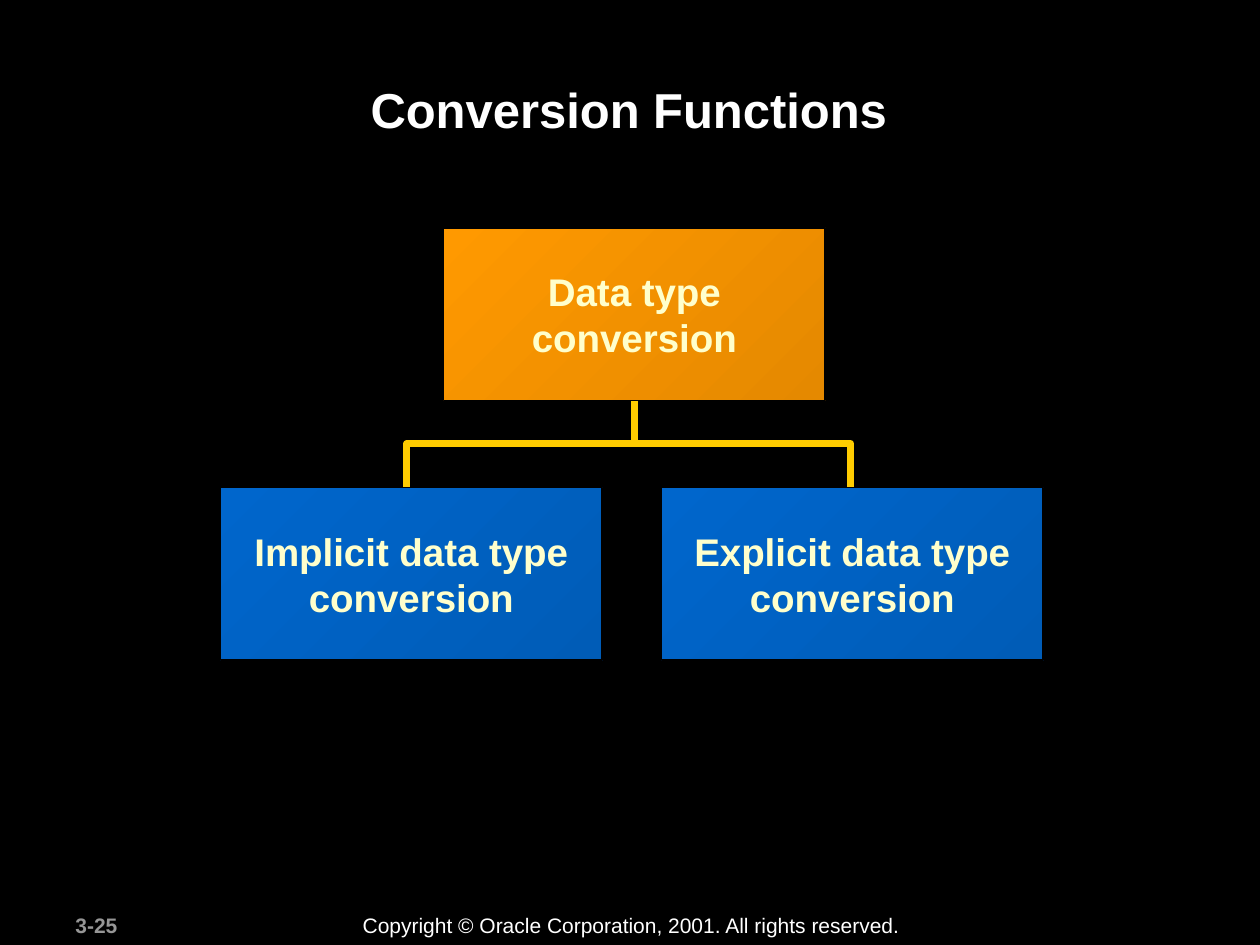
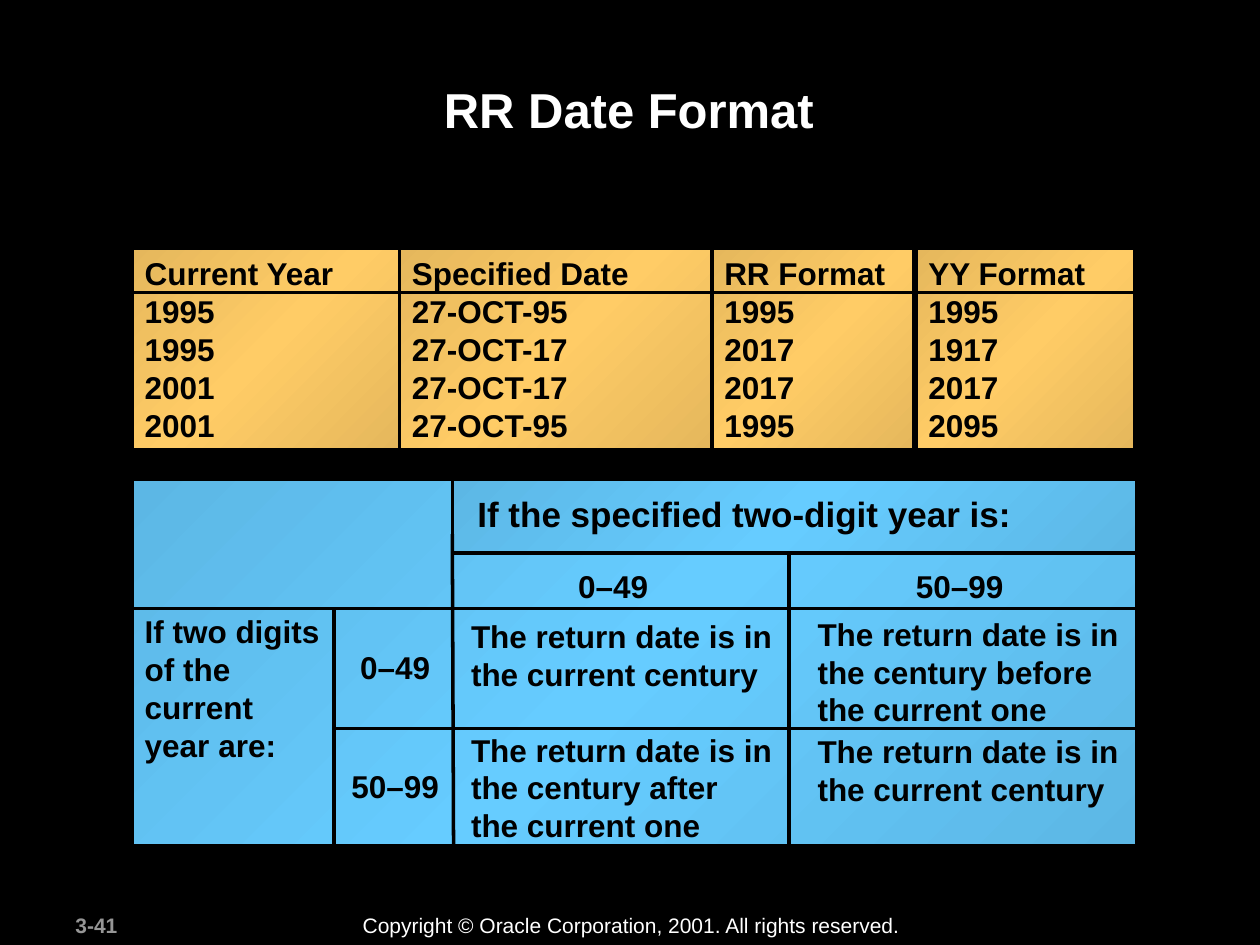
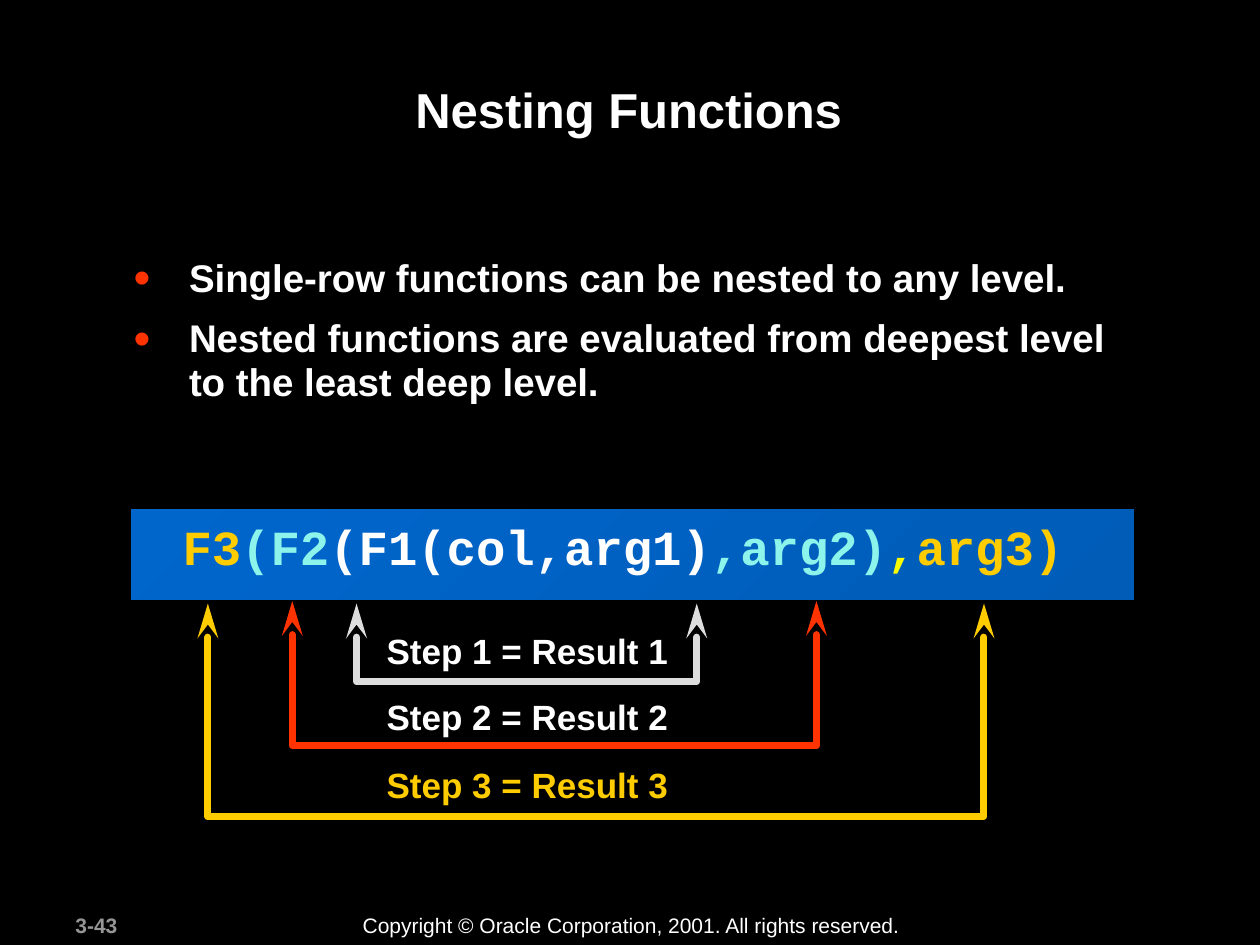
from copy import deepcopy
from dataclasses import dataclass

from lxml.etree import SubElement
from pptx import Presentation
from pptx.dml.color import RGBColor
from pptx.enum.shapes import MSO_CONNECTOR as Connector, MSO_SHAPE as Preset
from pptx.enum.text import MSO_ANCHOR as Anchor, MSO_AUTO_SIZE as AutoSize, PP_ALIGN as Align
from pptx.oxml.ns import qn
from pptx.util import Inches, Pt

COLORS = {
    "black": "000000", "white": "FFFFFF", "page": "969696", "cream": "FFFFCC",
    "gold": "FFCC00", "red": "FF3300", "silver": "DDDDDD", "aqua": "8CF4EA",
    "yellow": "FAFD00", "blue": "0066CC", "deep_blue": "005CB7",
    "orange": "FF9900", "deep_orange": "E58900", "sand": "FFCC66",
    "deep_sand": "E5B75C", "sky": "66CCFF", "deep_sky": "5CB7E5",
}
BLUE_FILL = ("blue", "deep_blue")
ORANGE_FILL = ("orange", "deep_orange")
SAND_FILL = ("deep_sand", "sand", "deep_sand")
SKY_FILL = ("deep_sky", "sky", "deep_sky")
COPYRIGHT = "Copyright © Oracle Corporation, 2001. All rights reserved."


@dataclass
class Box:
    left: float
    top: float
    width: float
    height: float

    def inside(self, left, top, width, height):
        return Box(self.left + left, self.top + top, width, height)

    def point(self, x, y):
        return Inches(self.left + x), Inches(self.top + y)

    def lengths(self):
        return [Inches(value) for value in (self.left, self.top, self.width, self.height)]


TITLE_BOX = Box(0.94, 0.58, 8.1, 0.96)
FOOTER_BOX = Box(0.5, 7.19, 6.76, 0.3)


def rgb(name):
    return RGBColor.from_string(COLORS[name])


def set_values(target, values):
    for name, value in values.items():
        setattr(target, name, value)


def format_run(run, size, color, bold=True, face="Arial"):
    set_values(run.font, {"size": Pt(size), "name": face, "bold": bold})
    run.font.color.rgb = rgb(color)


def format_line(line, color, width):
    line.color.rgb = rgb(color)
    line.width = Pt(width)


def write_text(frame, text, size, color, bold=True, align=Align.LEFT):
    frame.text = text
    for paragraph in frame.paragraphs:
        paragraph.alignment = align
        for run in paragraph.runs:
            format_run(run, size, color, bold)


def place(shape, box):
    set_values(shape, dict(zip(("left", "top", "width", "height"), box.lengths())))


def add_label(slide, box, text, size, color, bold=True, wrap=True):
    frame = slide.shapes.add_textbox(*box.lengths()).text_frame
    frame.word_wrap = wrap
    write_text(frame, text, size, color, bold)
    return frame


def add_panel(slide, box, fill_colors, line_width=1):
    panel = slide.shapes.add_shape(Preset.RECTANGLE, *box.lengths())
    panel.shadow.inherit = False
    panel.fill.gradient()
    panel.fill.gradient_angle = 315
    stop_list = panel._element.spPr.find(qn("a:gradFill")).find(qn("a:gsLst"))
    while len(stop_list) < len(fill_colors):
        stop_list.append(deepcopy(stop_list[0]))
    for index, (stop, color) in enumerate(zip(panel.fill.gradient_stops, fill_colors)):
        stop.color.rgb = rgb(color)
        stop.position = index / (len(fill_colors) - 1)
    format_line(panel.line, "black", line_width)
    return panel


def add_rule(slide, start, end, color="black", width=2):
    rule = slide.shapes.add_connector(Connector.STRAIGHT, *start, *end)
    format_line(rule.line, color, width)
    SubElement(rule._element.spPr, qn("a:effectLst"))
    return rule


def add_polyline(slide, corners, color, arrows=False):
    builder = slide.shapes.build_freeform(*corners[0])
    builder.add_line_segments(corners[1:], close=False)
    shape = builder.convert_to_shape()
    shape.shadow.inherit = False
    shape.fill.background()
    format_line(shape.line, color, 4)
    outline = shape.line._get_or_add_ln()
    outline.set("cap", "rnd")
    SubElement(outline, qn("a:round"))
    if arrows:
        for end in ("a:headEnd", "a:tailEnd"):
            SubElement(outline, qn(end), type="stealth", w="med", len="lg")


def add_titled_slide(presentation, layout_index, title, number):
    slide = presentation.slides.add_slide(presentation.slide_layouts[layout_index])
    place(slide.shapes.title, TITLE_BOX)
    frame = slide.shapes.title.text_frame
    set_values(frame, {"vertical_anchor": Anchor.TOP, "auto_size": AutoSize.NONE, "word_wrap": True})
    write_text(frame, title, 28, "white", align=Align.CENTER)
    add_label(slide, FOOTER_BOX.inside(0, 0, 1.05, 0.3), number, 12, "page")
    add_label(slide, FOOTER_BOX.inside(2.28, 0, 4.48, 0.3), COPYRIGHT, 12, "white", bold=False)
    return slide


def add_conversion_tree(slide, box):
    width, height = 3.03, 1.37
    child_top = box.height - height
    bar_top = 1.71
    bracket = [(1.48, child_top), (1.48, bar_top), (5, bar_top), (5, child_top)]
    add_polyline(slide, [box.point(*corner) for corner in bracket], "gold")
    nodes = [
        (1.77, 0, "Data type\nconversion", ORANGE_FILL),
        (0, child_top, "Implicit data type\nconversion", BLUE_FILL),
        (3.5, child_top, "Explicit data type\nconversion", BLUE_FILL),
    ]
    panels = []
    for left, top, text, fill_colors in nodes:
        panel = add_panel(slide, box.inside(left, top, width, height), fill_colors)
        set_values(panel.text_frame, {"word_wrap": False, "vertical_anchor": Anchor.MIDDLE})
        write_text(panel.text_frame, text, 22, "cream", align=Align.CENTER)
        panels.append(panel)
    middle = 1.77 + width / 2
    stem = add_rule(slide, box.point(middle, height), box.point(middle, bar_top), "gold", 4)
    stem.begin_connect(panels[0], 2)


def add_year_table(slide, box):
    columns = [
        (0, 2.12, ("Current Year", "1995", "1995", "2001", "2001")),
        (2.12, 2.48, ("Specified Date", "27-OCT-95", "27-OCT-17", "27-OCT-17", "27-OCT-95")),
        (4.6, 1.6, ("RR Format", "1995", "2017", "2017", "1995")),
        (6.22, 1.74, ("YY Format", "1995", "1917", "2017", "2095")),
    ]
    for left, width, lines in columns:
        panel = add_panel(slide, box.inside(left, 0, width, box.height), SAND_FILL, 2)
        set_values(panel.text_frame, {"word_wrap": True, "vertical_anchor": Anchor.TOP})
        write_text(panel.text_frame, "\n".join(lines), 18, "black")
    add_rule(slide, box.point(0, 0.35), box.point(box.width, 0.35))


def add_century_table(slide, box):
    same = "The return date is in the current century"
    labels = [
        (0, 1.01, 1.71, 1.3, "If two digits of the current\vyear are:"),
        (1.71, 1.29, 1.04, 0.4, "0–49"),
        (3.44, 0.65, 1.28, 0.4, "0–49"),
        (6.12, 0.65, 1.26, 0.4, "50–99"),
        (1.64, 2.24, 1.27, 0.4, "50–99"),
        (2.59, 1.05, 2.69, 0.7, same),
        (2.59, 1.95, 2.59, 1, "The return date is in the century after the current one"),
        (5.34, 1.03, 2.69, 1, "The return date is in the century before the current one"),
        (5.34, 1.96, 2.69, 0.7, same),
    ]
    heading_left, heading_bottom = 2.54, 0.44
    rules = [
        ((box.width, 1.03), (0, 1.03)),
        ((1.6, 1.03), (1.6, box.height)),
        ((5.21, heading_bottom), (5.21, box.height)),
        ((heading_left, heading_bottom), (heading_left + 0.01, box.height)),
        ((1.6, 1.98), (box.width, 1.98)),
    ]
    add_panel(slide, box, SKY_FILL, 2)
    for start, end in rules[:3]:
        add_rule(slide, box.point(*start), box.point(*end))
    for left, top, width, height, text in labels:
        add_label(slide, box.inside(left, top, width, height), text, 18, "black")
    add_panel(slide, box.inside(heading_left, 0, box.width - heading_left, 0.59), SKY_FILL, 2)
    add_label(slide, box.inside(2.64, 0.06, 4.48, 0.43), "If the specified two-digit year is:", 20, "black")
    for start, end in rules[3:]:
        add_rule(slide, box.point(*start), box.point(*end))


def add_bullets(slide, box, items):
    body = slide.placeholders[1]
    place(body, box)
    frame = body.text_frame
    set_values(frame, {"auto_size": AutoSize.NONE, "vertical_anchor": Anchor.TOP, "word_wrap": True})
    frame.text = "\n".join(items)
    for index, paragraph in enumerate(frame.paragraphs):
        properties = paragraph._p.get_or_add_pPr()
        properties.set("marL", str(Inches(0.44)))
        properties.set("indent", str(Inches(-0.44)))
        bullet_color = SubElement(properties, qn("a:buClr"))
        SubElement(bullet_color, qn("a:srgbClr"), val=COLORS["red"])
        SubElement(properties, qn("a:buSzPct"), val="125000")
        SubElement(properties, qn("a:buFont"), typeface="Arial")
        SubElement(properties, qn("a:buChar"), char="•")
        set_values(paragraph, {"line_spacing": 0.95, "space_before": Pt(9.6 if index else 0)})
        for run in paragraph.runs:
            format_run(run, 22, "white")


def add_code_band(slide, box):
    add_panel(slide, box, BLUE_FILL)
    frame = add_label(slide, box.inside(0.32, 0.18, 7.19, 0.41), "", 28, "white", wrap=False)
    paragraph = frame.paragraphs[0]
    paragraph.line_spacing = Pt(22)
    parts = [("F3", "gold"), ("(F2", "aqua"), ("(F1(col,arg1)", "white"),
             (",arg2)", "aqua"), (",", "yellow"), ("arg3)", "gold")]
    for text, color in parts:
        run = paragraph.add_run()
        run.text = text
        format_run(run, 28, color, face="Courier New")


def add_step_brackets(slide, box):
    steps = [
        (1.8, 4.5, 0.02, 0.64, 0.18, "silver", "white"),
        (1.29, 5.45, 0, 1.15, 0.7, "red", "white"),
        (0.62, 6.78, 0.02, 1.71, 1.24, "gold", "gold"),
    ]
    for number, (left, right, top, bottom, label_top, color, text_color) in enumerate(steps, 1):
        corners = [(left, top), (left, bottom), (right, bottom), (right, top)]
        add_polyline(slide, [box.point(*corner) for corner in corners], color, arrows=True)
        add_label(slide, box.inside(1.94, label_top, 2.44, 0.43),
                  f"Step {number} = Result {number}", 20, text_color, wrap=False)


def build_conversion_slide(presentation):
    slide = add_titled_slide(presentation, 5, "Conversion Functions", "3-25")
    add_conversion_tree(slide, Box(1.75, 1.81, 6.53, 3.43))


def build_date_slide(presentation):
    slide = add_titled_slide(presentation, 5, "RR Date Format", "3-41")
    add_year_table(slide, Box(1.05, 1.97, 7.96, 1.6))
    add_century_table(slide, Box(1.05, 3.8, 7.97, 2.91))


def build_nesting_slide(presentation):
    slide = add_titled_slide(presentation, 1, "Nesting Functions", "3-43")
    add_bullets(slide, Box(0.96, 1.99, 8.08, 1.28), [
        "Single-row functions can be nested to any level.",
        "Nested functions are evaluated from deepest level to the least deep level.",
    ])
    add_code_band(slide, Box(1.03, 4.03, 7.98, 0.74))
    add_step_brackets(slide, Box(1.03, 4.77, 7.98, 1.71))


def main():
    presentation = Presentation()
    set_values(presentation, {"slide_width": Inches(10), "slide_height": Inches(7.5)})
    background = presentation.slide_master.background.fill
    background.solid()
    background.fore_color.rgb = rgb("black")
    build_conversion_slide(presentation)
    build_date_slide(presentation)
    build_nesting_slide(presentation)
    presentation.save("out.pptx")


if __name__ == "__main__":
    main()
